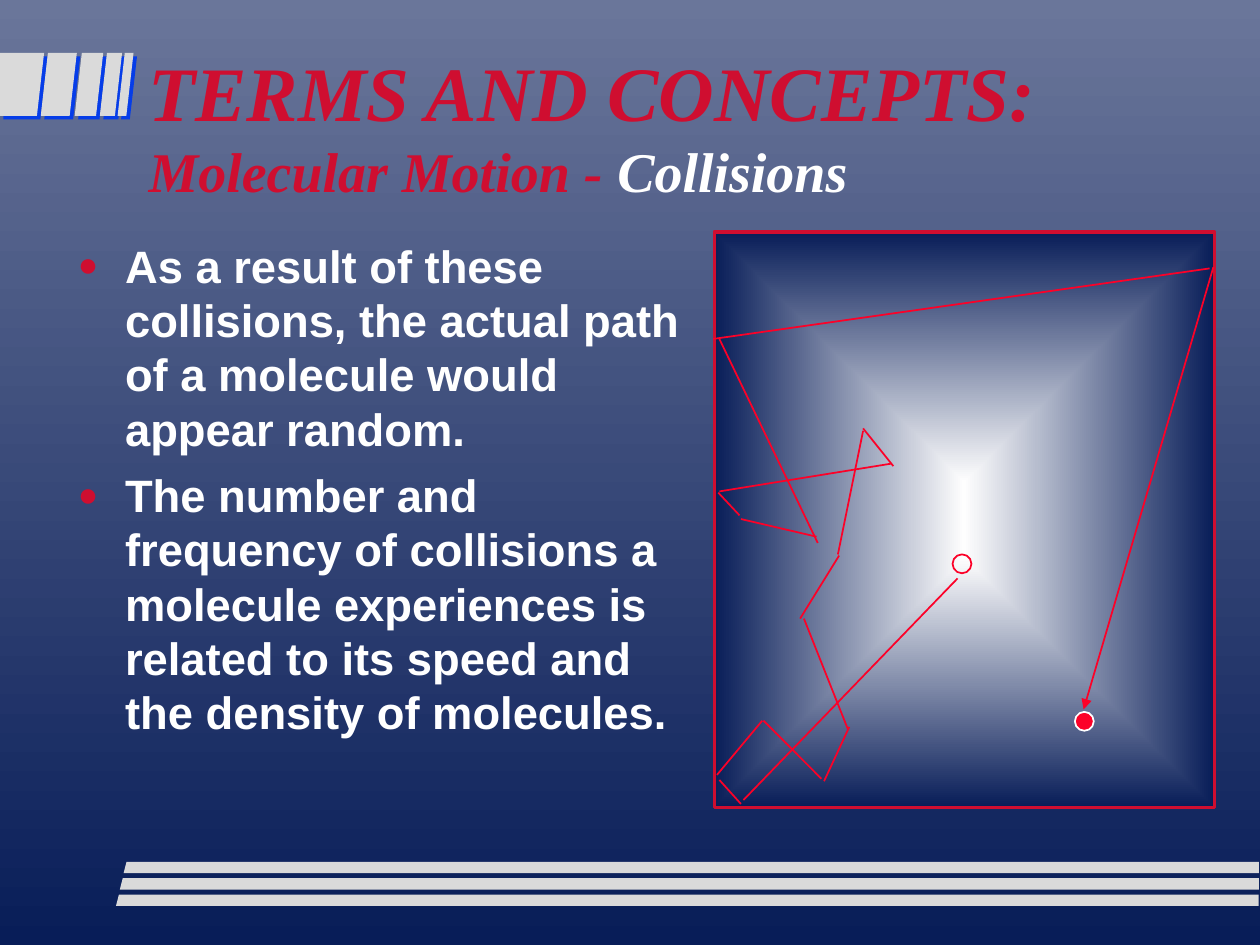
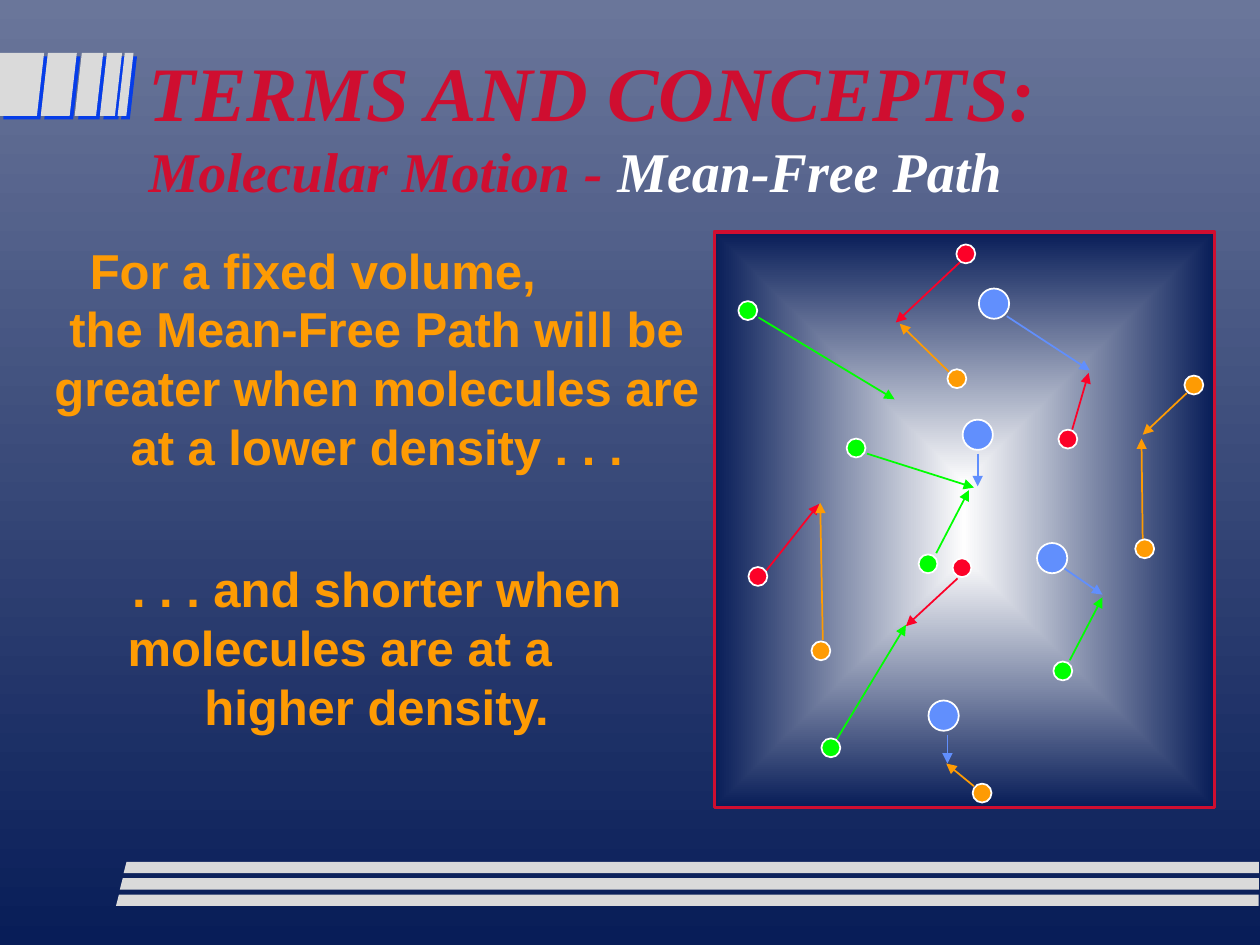
from lxml.etree import SubElement
from pptx import Presentation
from pptx.dml.color import RGBColor
from pptx.enum.shapes import MSO_CONNECTOR, MSO_SHAPE
from pptx.enum.text import MSO_ANCHOR, PP_ALIGN
from pptx.oxml.ns import qn
from pptx.util import Pt


class Theme:
    sky, navy, glow = "6A769A", "081D58", "FEFEFE"
    crimson, white, silver, stripe_shadow = "CF0E30", "FFFFFF", "DADADA", "063DE8"
    red, green, blue, orange = "FC0128", "00FF00", "618FFD", "FE9B03"
    title_font, body_font = "Times New Roman", "Arial"
    title_size, subtitle_size, bullet_size, statement_size = 44, 32, 25.9, 28
    # Line heights that go with the sizes above
    title_line, subtitle_line, bullet_line, statement_line = 53.2, 38, 31, 33.5
    small_molecule, large_molecule = 10.8, 17.3


# ---- Content -------------------------------------------------------------
TITLE = "TERMS AND CONCEPTS:"
SUBTITLE = "Molecular Motion - "

COLLISION_BULLETS = [
    "As a result of these collisions, the actual path of a molecule "
    "would appear random.",
    "The number and frequency of collisions a molecule experiences is "
    "related to its speed and the density of molecules.",
]

# Text, left indent (None means centred), space before
MEAN_FREE_PATH_LINES = [
    ("For a fixed volume,", 22, 0),
    ("the Mean-Free Path will be", None, 0),
    ("greater when molecules are", None, 0),
    ("at a lower density . . .", None, 0),
    (". . . and shorter when", None, 48),
    ("molecules are at a", 43.5, 0),
    ("higher density.", None, 0),
]

# Legs of the random walk: x and y of the start, x and y of the end
WALK_LEGS = [
    (547.2, 330.5, 424.8, 457.2), (411.1, 445.7, 423.4, 459.4),
    (409.7, 442.8, 435.6, 411.8), (436.3, 411.8, 469.4, 445),
    (485.3, 415.4, 470.9, 446.4), (459.4, 353.5, 484.6, 416.9),
    (479.5, 317.5, 457.2, 353.5), (493.2, 246.2, 478.8, 316.8),
    (493.2, 244.8, 510.5, 266.4), (411.1, 280.8, 509, 265),
    (410.4, 281.5, 422.6, 294.5), (423.4, 296.6, 466.6, 306.7),
    (411.1, 193.7, 467.3, 310.3), (407.5, 193.7, 691.2, 153.4),
]
LAST_LEG = (693.4, 152.6, 619.2, 405.4)
WALK_START, WALK_END = (544.3, 316.8), (614.2, 406.8)

# Per colour: left and top of each molecule, then its arrow's start and end
MOLECULES = {
    Theme.red: [
        (544.3, 319, 547.2, 330.5, 517.7, 357.8),
        (604.8, 245.5, 612.7, 245.5, 622.1, 213.1),
        (427.7, 324, 437.8, 326.2, 468, 288),
        (546.5, 139.7, 548.6, 149.8, 511.9, 184.3),
    ],
    Theme.green: [
        (601.9, 378, 611.3, 377.3, 630, 341.3),
        (483.8, 250.6, 495.4, 259.2, 556.6, 278.6),
        (469.4, 421.9, 478.1, 422.6, 517.7, 357.1),
        (421.9, 172.1, 433.4, 181.4, 511.2, 228.2),
        (524.9, 316.8, 535, 316.1, 553.7, 280.1),
    ],
    Theme.blue: [
        (530.6, 400.3, 541.4, 419.8, 541.4, 436.3),
        (559.4, 164.9, 575.3, 180.7, 622.8, 211.7),
        (592.6, 310.3, 607, 324, 630, 339.8),
        (550.1, 239.8, 558.7, 259.2, 558.7, 277.9),
    ],
    Theme.orange: [
        (463.7, 366.5, 470.2, 365.8, 468.7, 287.3),
        (541.4, 211, 542.2, 212.4, 514.1, 185),
        (555.8, 447.8, 556.6, 449.3, 540.7, 436.3),
        (648.7, 308.2, 653, 310.3, 652.3, 250.6),
        (676.8, 214.6, 678.2, 224.6, 653, 248.4),
    ],
}

# ---- Shared layout -------------------------------------------------------
TITLE_BOX = (77.8, 21.6, 612, 92.9)
BULLET_BOX = (37.4, 132.5, 370.1, 329)
STATEMENT_BOX = (22.3, 133.9, 385.9, 330.5)
PANEL = (408.2, 132.5, 285.8, 329)
STRIPE_TOP, STRIPE_BOTTOM, STRIPE_SLANT = 30.2, 66.2, 4.1
STRIPE_SPANS = [(0, 25.2), (27.4, 43.9), (46.8, 59), (61.2, 69.8), (71.3, 76.3)]
BAR_COUNT, BAR_TOP, BAR_STEP, BAR_HEIGHT = 3, 492.5, 9.35, 6.5
BAR_LEFT, BAR_SHIFT, BAR_SLANT, BAR_RIGHT = 70.6, 2.15, 1.7, 719.3


def points(values):
    return [Pt(value) for value in values]


def set_values(target, values):
    for name, value in values.items():
        setattr(target, name, value)


def set_gradient(fill, colors):
    fill.gradient()
    for stop, color in zip(fill.gradient_stops, colors):
        stop.color.rgb = RGBColor.from_string(color)


def set_line(line, color, width):
    line.color.rgb = RGBColor.from_string(color)
    line.width = Pt(width)


def add_outline(slide, corners):
    start, *rest = [points(corner) for corner in corners]
    builder = slide.shapes.build_freeform(*start, scale=1.0)
    builder.add_line_segments(rest, close=True)
    shape = builder.convert_to_shape()
    shape.shadow.inherit = False
    shape.fill.solid()
    shape.fill.fore_color.rgb = RGBColor.from_string(Theme.silver)
    shape.line.fill.background()
    return shape


def add_stripe_shadow(shape):
    effects = shape._element.spPr.find(qn("a:effectLst"))
    shadow = SubElement(effects, qn("a:outerShdw"), dist=str(Pt(2.8)),
                        dir="2700000", algn="ctr", rotWithShape="0")
    SubElement(shadow, qn("a:srgbClr"), val=Theme.stripe_shadow)


def add_text_box(slide, box):
    frame = slide.shapes.add_textbox(*points(box)).text_frame
    set_values(frame, {
        "word_wrap": True, "vertical_anchor": MSO_ANCHOR.TOP,
        "margin_left": Pt(7.2), "margin_right": Pt(7.2),
        "margin_top": Pt(3.6), "margin_bottom": Pt(3.6)})
    return frame


def add_paragraph(frame, line_height, space_before=0):
    first = frame.paragraphs[0]
    paragraph = frame.add_paragraph() if first.runs else first
    set_values(paragraph, {"line_spacing": Pt(line_height),
                           "space_before": Pt(space_before), "space_after": Pt(0)})
    return paragraph


def add_run(paragraph, text, font, size, color, italic=False):
    run = paragraph.add_run()
    run.text = text
    set_values(run.font, {"name": font, "size": Pt(size),
                          "bold": True, "italic": italic})
    run.font.color.rgb = RGBColor.from_string(color)


def add_bullet(paragraph):
    properties = paragraph._p.get_or_add_pPr()
    properties.set("marL", str(Pt(27)))
    properties.set("indent", str(-Pt(27)))
    color = SubElement(properties, qn("a:buClr"))
    SubElement(color, qn("a:srgbClr"), val=Theme.crimson)
    SubElement(properties, qn("a:buSzPct"), val="75000")
    SubElement(properties, qn("a:buFont"), typeface=Theme.body_font)
    SubElement(properties, qn("a:buChar"), char="●")


def add_leg(slide, ends, color, arrow=False):
    connector = slide.shapes.add_connector(MSO_CONNECTOR.STRAIGHT, *points(ends))
    set_line(connector.line, color, 1)
    if arrow:
        SubElement(connector.line._get_or_add_ln(), qn("a:tailEnd"), type="triangle")
    SubElement(connector._element.spPr, qn("a:effectLst"))


def add_molecule(slide, corner, size, fill_color, line_color=Theme.white):
    shape = slide.shapes.add_shape(MSO_SHAPE.OVAL, *points((*corner, size, size)))
    shape.shadow.inherit = False
    if fill_color:
        shape.fill.solid()
        shape.fill.fore_color.rgb = RGBColor.from_string(fill_color)
    else:
        shape.fill.background()
    set_line(shape.line, line_color, 1)


def add_panel(slide):
    shape = slide.shapes.add_shape(MSO_SHAPE.RECTANGLE, *points(PANEL))
    shape.shadow.inherit = False
    set_gradient(shape.fill, (Theme.glow, Theme.navy))
    gradient = shape._element.spPr.find(qn("a:gradFill"))
    gradient.remove(gradient.find(qn("a:lin")))
    spread = SubElement(gradient, qn("a:path"), path="rect")
    SubElement(spread, qn("a:fillToRect"), l="50000", t="50000", r="50000", b="50000")
    set_line(shape.line, Theme.crimson, 2)


def add_base_slide(presentation, topic):
    slide = presentation.slides.add_slide(presentation.slide_layouts[6])
    background = slide.background.fill
    set_gradient(background, (Theme.sky, Theme.navy))
    background.gradient_angle = 270

    # Slanted stripes beside the title
    for left, right in STRIPE_SPANS:
        stripe = add_outline(slide, [
            (left, STRIPE_TOP), (right, STRIPE_TOP),
            (right - STRIPE_SLANT, STRIPE_BOTTOM),
            (max(0, left - STRIPE_SLANT), STRIPE_BOTTOM)])
        add_stripe_shadow(stripe)

    # Footer bars
    for index in range(BAR_COUNT):
        top = BAR_TOP + index * BAR_STEP
        left = BAR_LEFT - index * BAR_SHIFT
        add_outline(slide, [
            (left, top + BAR_HEIGHT), (BAR_RIGHT, top + BAR_HEIGHT),
            (BAR_RIGHT, top), (left + BAR_SLANT, top)])

    # Title
    frame = add_text_box(slide, TITLE_BOX)
    heading = add_paragraph(frame, Theme.title_line)
    add_run(heading, TITLE, Theme.title_font, Theme.title_size, Theme.crimson, True)
    subheading = add_paragraph(frame, Theme.subtitle_line)
    for text, color in ((SUBTITLE, Theme.crimson), (topic, Theme.white)):
        add_run(subheading, text, Theme.title_font, Theme.subtitle_size, color, True)
    add_panel(slide)
    return slide


def build_collisions(presentation):
    slide = add_base_slide(presentation, "Collisions")
    # Random walk
    add_molecule(slide, WALK_END, Theme.small_molecule, Theme.red)
    for leg in WALK_LEGS:
        add_leg(slide, leg, Theme.red)
    add_leg(slide, LAST_LEG, Theme.red, arrow=True)
    add_molecule(slide, WALK_START, Theme.small_molecule, None, Theme.red)
    # Bullets
    frame = add_text_box(slide, BULLET_BOX)
    for index, text in enumerate(COLLISION_BULLETS):
        paragraph = add_paragraph(frame, Theme.bullet_line, 7 if index else 0)
        add_bullet(paragraph)
        add_run(paragraph, text, Theme.body_font, Theme.bullet_size, Theme.white)


def build_mean_free_path(presentation):
    slide = add_base_slide(presentation, "Mean-Free Path")
    # Statement
    frame = add_text_box(slide, STATEMENT_BOX)
    for text, indent, space_before in MEAN_FREE_PATH_LINES:
        paragraph = add_paragraph(frame, Theme.statement_line, space_before)
        if indent is None:
            paragraph.alignment = PP_ALIGN.CENTER
        else:
            paragraph._p.get_or_add_pPr().set("marL", str(Pt(indent)))
        add_run(paragraph, text, Theme.body_font, Theme.statement_size, Theme.orange)
    # Molecules with their arrows
    for color, molecules in MOLECULES.items():
        size = Theme.large_molecule if color == Theme.blue else Theme.small_molecule
        for left, top, *arrow in molecules:
            add_leg(slide, arrow, color, arrow=True)
            add_molecule(slide, (left, top), size, color)


def main():
    presentation = Presentation()
    set_values(presentation, {"slide_width": Pt(720), "slide_height": Pt(540)})
    build_collisions(presentation)
    build_mean_free_path(presentation)
    presentation.save("out.pptx")


if __name__ == "__main__":
    main()
